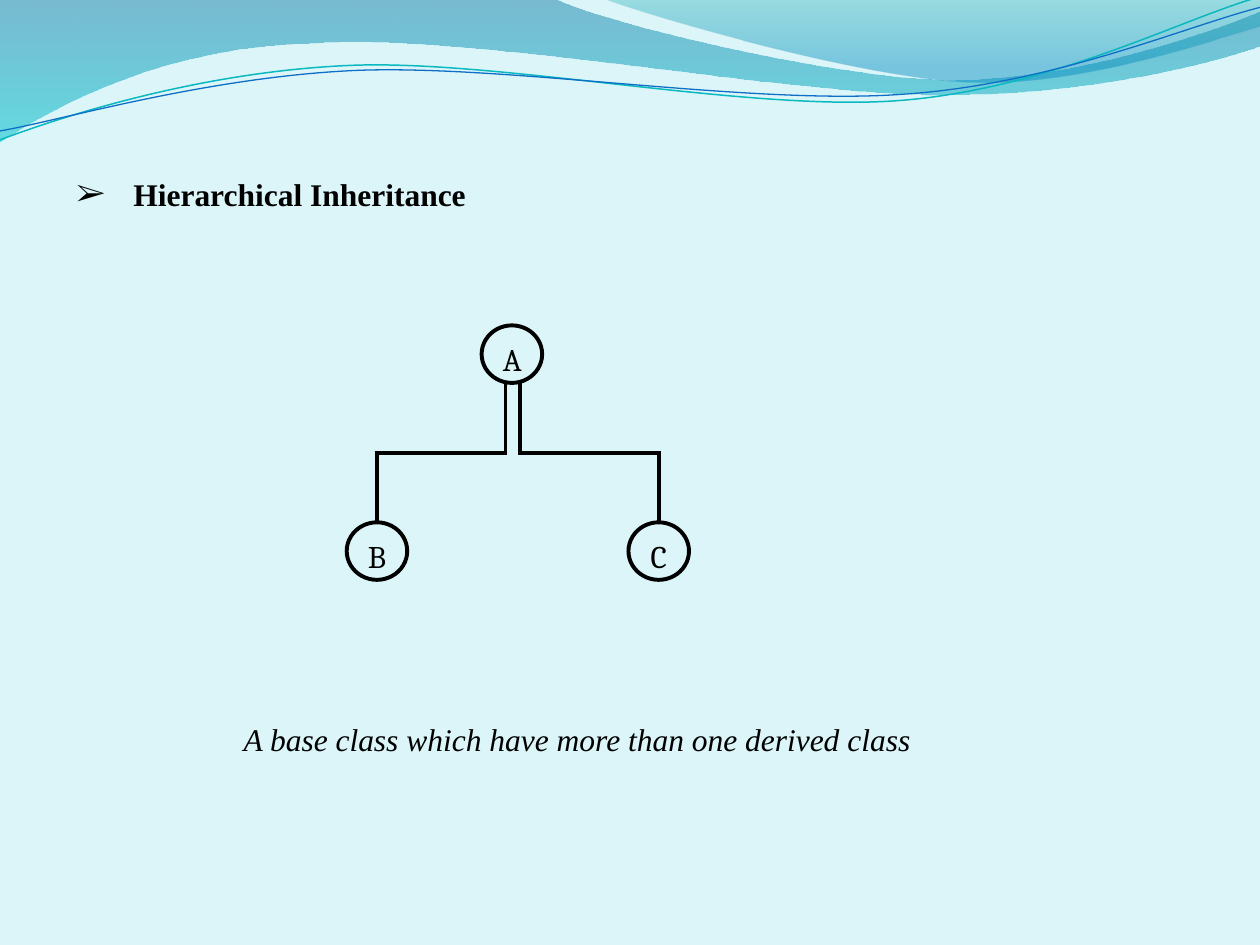
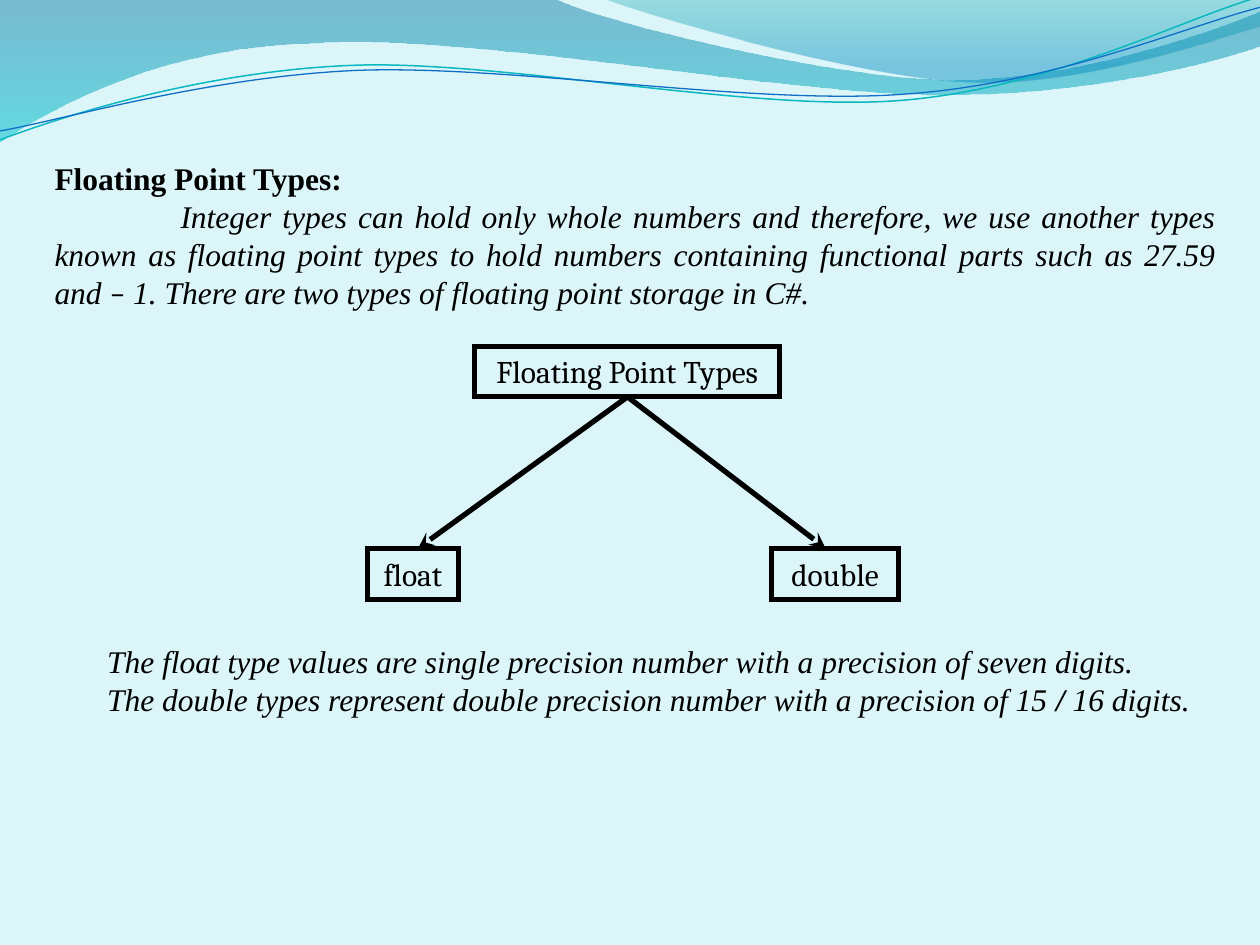
import pptx
import pptx.util
import pptx.oxml.ns
import pptx.dml.color
import pptx.enum.text
import pptx.enum.shapes
from lxml import etree

Cm = pptx.util.Cm
Pt = pptx.util.Pt
tag = pptx.oxml.ns.qn
rgb = pptx.dml.color.RGBColor.from_string
align = pptx.enum.text.PP_ALIGN
kinds = pptx.enum.shapes.MSO_SHAPE
links = pptx.enum.shapes.MSO_CONNECTOR

theme = {
    "back": rgb("DBF5F9"),
    "ink": rgb("000000"),
    "size": Pt(18),
    "serif": "Times New Roman",
    "node": "Cambria",
    "dash": "Calibri",
    "thin": Pt(2.25),
    "thick": Pt(3),
}

bands = [
    {"start": (0, 0),
     "steps": [(11.18, -0.03),
               (12.09, 0.43, 16.87, 1.6, 19.25, 1.6),
               (21.67, 1.6, 24.33, 0.66, 25.4, 0.23),
               (25.43, 0.91),
               (24.97, 1.12, 22.1, 1.93, 18.95, 1.91),
               (15.8, 1.91, 9.7, 0.71, 6.53, 0.86),
               (3.28, 0.91, 1.17, 2.11, -0.03, 2.87)],
     "stops": [(0, "0074A1", 45), (1, "00C6CF", 55)]},
    {"start": (12.17, -0.03),
     "steps": [(12.93, 0.28, 17.32, 1.57, 19.53, 1.65),
               (21.74, 1.75, 24.41, 0.81, 25.4, 0.53),
               (25.4, 0)],
     "stops": [(0, "00A1A9", 30), (0.8, "008BBF", 45)]},
    {"start": (0, 2.82), "line": ("0AB8BF", 0.85),
     "steps": [(1.22, 2.36, 4.01, 1.45, 7.04, 1.32),
               (10.03, 1.19, 15.06, 2.26, 18.11, 2.03),
               (21.16, 1.8, 23.83, 0.38, 25.35, -0.05)]},
    {"start": (0, 2.64), "line": ("0F6FC6", 0.75),
     "steps": [(1.19, 2.44, 4.17, 1.55, 7.19, 1.42),
               (10.24, 1.3, 15.16, 2.13, 18.21, 1.9),
               (21.23, 1.7, 23.9, 0.53, 25.4, 0.15)]},
]


def write(shape, paras, frame):
    text = shape.text_frame
    for key, val in frame.items():
        setattr(text, key, val)
    for num, (form, runs) in enumerate(paras):
        para = text.add_paragraph() if num else text.paragraphs[0]
        props = para._p.get_or_add_pPr()
        for key in ("marL", "indent"):
            if key in form:
                props.set(key, str(Cm(form[key])))
        if "mark" in form:
            etree.SubElement(props, tag("a:buFont")).set("typeface", theme["serif"])
            etree.SubElement(props, tag("a:buChar")).set("char", form["mark"])
        para.alignment = form.get("alignment")
        for words, look in runs:
            run = para.add_run()
            run.text = words
            run.font.color.rgb = theme["ink"]
            base = {"size": theme["size"], "name": theme["serif"]}
            for key, val in (base | look).items():
                setattr(run.font, key, val)


def join(slide, kind, ends, width):
    link = slide.shapes.add_connector(kind, *[Cm(val) for val in ends])
    link.line.color.rgb = theme["ink"]
    link.line.width = width
    props = link.element.find(tag("p:spPr"))
    etree.SubElement(props.find(tag("a:ln")), tag("a:miter")).set("lim", "800000")
    etree.SubElement(props, tag("a:effectLst"))
    return link


deck = pptx.Presentation()
deck.slide_width = Cm(25.4)
deck.slide_height = Cm(19.05)
paper = deck.slide_master.background.fill
paper.solid()
paper.fore_color.rgb = theme["back"]
blank = deck.slide_layouts[6]
tree, types = [deck.slides.add_slide(blank) for _ in range(2)]

for band in bands:
    pen = tree.shapes.build_freeform(*[Cm(val) for val in band["start"]])
    pen.add_line_segments([[Cm(val) for val in step[-2:]] for step in band["steps"]],
                          close="stops" in band)
    wave = pen.convert_to_shape()
    wave.shadow.inherit = False
    for step, leg in zip(band["steps"], list(wave.element.iter(tag("a:lnTo")))):
        if len(step) == 6:
            curve = etree.Element(tag("a:cubicBezTo"))
            for x, y in zip(step[::2], step[1::2]):
                spot = etree.SubElement(curve, tag("a:pt"))
                spot.set("x", str(Cm(x) - wave.left))
                spot.set("y", str(Cm(y) - wave.top))
            leg.getparent().replace(leg, curve)
    if "stops" in band:
        wave.line.fill.background()
        wave.fill.gradient()
        wave.fill.gradient_angle = 270
        for stop, (spot, hue, _) in zip(wave.fill.gradient_stops, band["stops"]):
            stop.position = spot
            stop.color.rgb = rgb(hue)
        tints = wave.element.iter(tag("a:srgbClr"))
        for tint, (_, _, clear) in zip(list(tints), band["stops"]):
            etree.SubElement(tint, tag("a:alpha")).set("val", str(clear * 1000))
    else:
        hue, width = band["line"]
        wave.fill.background()
        wave.line.color.rgb = rgb(hue)
        wave.line.width = Pt(width)
    blank.shapes.element.append(wave.element)

bold = {"bold": True}
slant = {"italic": True}
just = {"alignment": align.JUSTIFY}
notes = [
    (tree, (1.29, 3.4, 8.43, 1.02), False, [
        ({"marL": 1.15, "indent": -1.15, "mark": "➢"},
         [("Hierarchical Inheritance", bold)])]),
    (tree, (4.66, 14.38, 14.07, 1.02), False, [
        ({}, [("A base class which have more than one derived class", slant)])]),
    (types, (0.85, 3.07, 23.92, 3.33), True, [
        (just, [("Floating Point Types:", bold)]),
        (just | {"indent": 2.54}, [
            ("Integer types can hold only whole numbers and therefore, we use "
             "another types known as floating point types to hold numbers "
             "containing functional parts such as 27.59 and ", slant),
            ("–", slant | {"name": theme["dash"]}),
            (" 1. There are two types of floating point storage in C#.", slant)])]),
    (types, (1.91, 12.8, 22.43, 1.8), True, [
        (just, [("The float type values are single precision number with a "
                 "precision of seven digits.", slant)]),
        (just, [("The double types represent double precision number with a "
                 "precision of 15 ", slant),
                ("/", slant | bold),
                (" 16 digits.", slant)])]),
]
for slide, area, wrap, paras in notes:
    box = slide.shapes.add_textbox(*[Cm(val) for val in area])
    write(box, paras, {
        "word_wrap": wrap,
        "vertical_anchor": pptx.enum.text.MSO_ANCHOR.MIDDLE,
        "auto_size": pptx.enum.text.MSO_AUTO_SIZE.SHAPE_TO_FIT_TEXT,
    })

top, low = 7.72, 10.53
for side, start, end in ((-1, 10.19, 7.6), (1, 10.48, 13.28)):
    midx, midy = (start + end) / 2, (top + low) / 2
    wide, high = side * (low - top) / 2, abs(end - start) / 2
    link = join(tree, links.ELBOW,
                (midx + wide, midy - high, midx - wide, midy + high), theme["thin"])
    turn = 180 + 90 * side
    link.element.find(tag("p:spPr")).find(tag("a:xfrm")).set("rot", str(turn * 60000))

for end in (8.43, 16.64):
    link = join(types, links.STRAIGHT, (12.65, 8, end, 11.05), theme["thick"])
    edge = link.element.find(tag("p:spPr")).find(tag("a:ln"))
    etree.SubElement(edge, tag("a:tailEnd")).set("type", "stealth")

nodes = [
    (tree, kinds.OVAL, "thin", "A", (9.71, 6.56, 1.22, 1.16)),
    (tree, kinds.OVAL, "thin", "B", (6.99, 10.53, 1.22, 1.16)),
    (tree, kinds.OVAL, "thin", "C", (12.67, 10.53, 1.22, 1.16)),
    (types, kinds.RECTANGLE, "thick", "Floating Point Types", (9.57, 6.98, 6.15, 1.02)),
    (types, kinds.RECTANGLE, "thick", "float", (7.41, 11.06, 1.83, 1.02)),
    (types, kinds.RECTANGLE, "thick", "double", (15.55, 11.06, 2.57, 1.02)),
]
for slide, kind, edge, name, area in nodes:
    node = slide.shapes.add_shape(kind, *[Cm(val) for val in area])
    node.shadow.inherit = False
    node.fill.background()
    node.line.color.rgb = theme["ink"]
    node.line.width = theme[edge]
    line = node.element.find(tag("p:spPr")).find(tag("a:ln"))
    etree.SubElement(line, tag("a:miter")).set("lim", "800000")
    write(node, [({"alignment": align.CENTER}, [(name, {"name": theme["node"]})])],
          {"vertical_anchor": pptx.enum.text.MSO_ANCHOR.TOP, "word_wrap": True})

deck.save("out.pptx")
